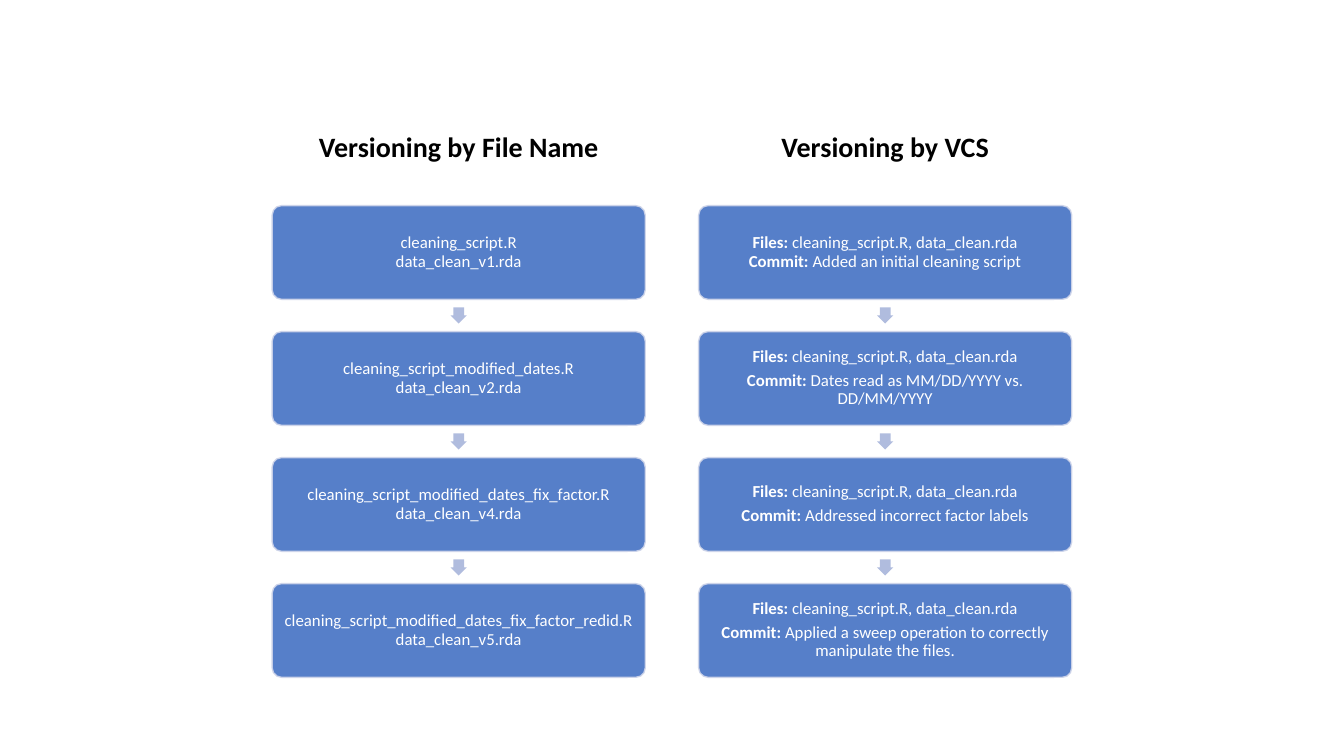
"""Build a slide comparing versioning by file name with versioning by VCS."""
import pptx
import pptx.dml.color
import pptx.enum.shapes
import pptx.enum.text
import pptx.oxml
import pptx.oxml.ns
import pptx.util

Inches = pptx.util.Inches
Pt = pptx.util.Pt
SHAPE = pptx.enum.shapes.MSO_SHAPE

FILES = "Files: cleaning_script.R, data_clean.rda"

# Each step is a list of paragraphs, each paragraph a list of lines.
COLUMNS = [
    ("Versioning by File Name", [
        [["cleaning_script.R", "data_clean_v1.rda"]],
        [["cleaning_script_modified_dates.R", "data_clean_v2.rda"]],
        [["cleaning_script_modified_dates_fix_factor.R", "data_clean_v4.rda"]],
        [["cleaning_script_modified_dates_fix_factor_redid.R", "data_clean_v5.rda"]],
    ]),
    ("Versioning by VCS", [
        [[FILES, "Commit: Added an initial cleaning script"]],
        [[FILES], ["Commit: Dates read as MM/DD/YYYY vs. DD/MM/YYYY"]],
        [[FILES], ["Commit: Addressed incorrect factor labels"]],
        [[FILES], ["Commit: Applied a sweep operation to correctly manipulate the files."]],
    ]),
]

LEFT, COLUMN_PITCH = 2.7, 4.23
TITLE_TOP, STEP_TOP, STEP_PITCH = 1.01, 2.04, 1.25
BOX_W, BOX_H, ARROW = 3.7, 0.93, 0.16


def rgb(color):
    return pptx.dml.color.RGBColor.from_string(color)


def set_alpha(fill, percent):
    color = fill._xPr.find(".//" + pptx.oxml.ns.qn("a:srgbClr"))
    alpha = pptx.oxml.parse_xml(
        f'<a:alpha {pptx.oxml.ns.nsdecls("a")} val="{percent * 1000}"/>')
    color.append(alpha)


def add_line(p, line):
    label, colon, text = line.rpartition(": ")
    if label:
        r = p.add_run()
        r.text = label + colon
        r.font.bold = True
    p.add_run().text = text


def write(sp, paragraphs, size, color, inset, bold=False):
    tf = sp.text_frame
    tf.word_wrap = True
    tf.vertical_anchor = pptx.enum.text.MSO_ANCHOR.MIDDLE
    tf.margin_left = tf.margin_right = Inches(inset)
    tf.margin_top = tf.margin_bottom = Inches(inset)
    for i, lines in enumerate(paragraphs):
        p = tf.add_paragraph() if i else tf.paragraphs[0]
        p.alignment = pptx.enum.text.PP_ALIGN.CENTER
        p.line_spacing = 0.9
        p.space_after = Pt(round(size * 0.35, 1))
        p.font.name, p.font.size, p.font.bold = "Calibri", Pt(size), bold
        p.font.color.rgb = rgb(color)
        for j, line in enumerate(lines):
            if j:
                p.add_line_break()
            add_line(p, line)


def add_shape(slide, kind, x, y, w, h, color):
    sp = slide.shapes.add_shape(kind, Inches(x), Inches(y), Inches(w), Inches(h))
    sp.shadow.inherit = False
    sp.fill.solid()
    sp.fill.fore_color.rgb = rgb(color)
    return sp


def add_step(slide, x, y, paragraphs):
    sp = add_shape(slide, SHAPE.ROUNDED_RECTANGLE, x, y, BOX_W, BOX_H, "4472C4")
    sp.adjustments[0] = 0.1
    sp.line.color.rgb = rgb("CFD5EA")
    sp.line.width = Pt(1)
    set_alpha(sp.fill, 90)
    set_alpha(sp.line.fill, 90)
    write(sp, paragraphs, 12, "FFFFFF", 0.02)


def add_arrow(slide, x, y):
    sp = add_shape(slide, SHAPE.DOWN_ARROW, x, y, ARROW, ARROW, "B0BCDE")
    sp.adjustments[0] = 0.67
    sp.line.fill.background()


def main():
    prs = pptx.Presentation()
    prs.slide_width, prs.slide_height = Inches(13.33), Inches(7.5)
    slide = prs.slides.add_slide(prs.slide_layouts[6])
    for col, (title, steps) in enumerate(COLUMNS):
        x = LEFT + col * COLUMN_PITCH
        heading = slide.shapes.add_textbox(
            Inches(x), Inches(TITLE_TOP), Inches(BOX_W), Inches(BOX_H))
        write(heading, [[title]], 20, "000000", 0.03, bold=True)
        for row, paragraphs in enumerate(steps):
            y = STEP_TOP + row * STEP_PITCH
            if row:
                gap = STEP_PITCH - BOX_H
                add_arrow(slide, x + (BOX_W - ARROW) / 2, y - (gap + ARROW) / 2)
            add_step(slide, x, y, paragraphs)
    prs.save("out.pptx")


if __name__ == "__main__":
    main()
